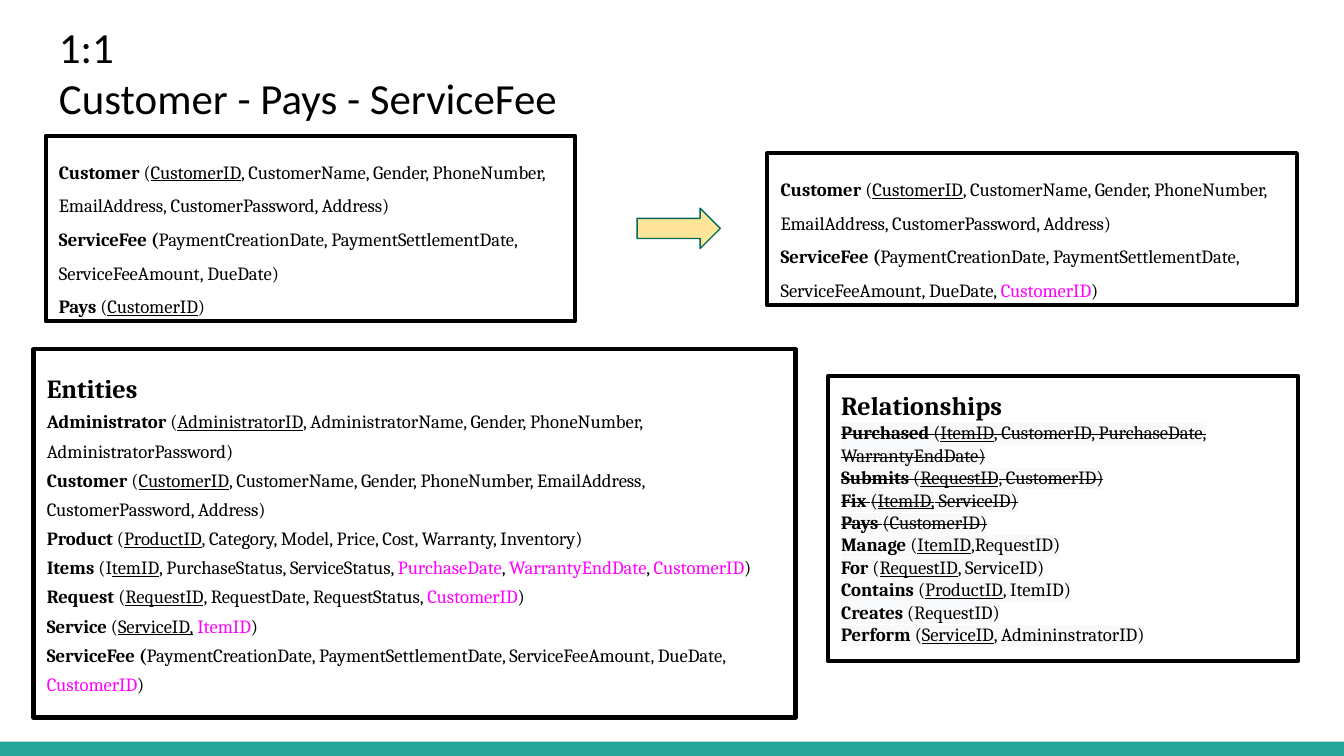
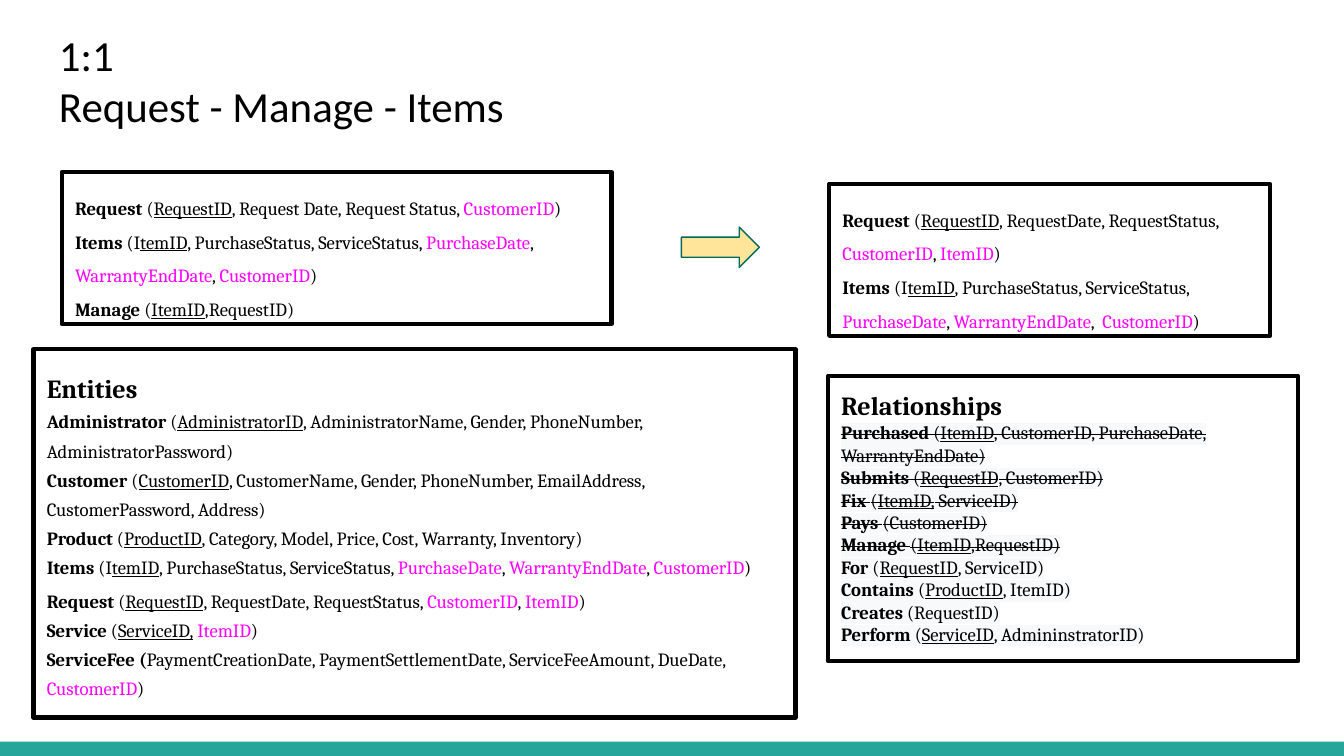
from lxml import etree
from pptx import Presentation
from pptx.dml.color import RGBColor
from pptx.enum.shapes import MSO_SHAPE
from pptx.enum.text import MSO_ANCHOR, PP_ALIGN
from pptx.oxml.ns import qn
from pptx.util import Pt

RECTANGLE, RIGHT_ARROW = MSO_SHAPE.RECTANGLE, MSO_SHAPE.RIGHT_ARROW
TOP, LEFT = MSO_ANCHOR.TOP, PP_ALIGN.LEFT

BLACK, PINK, TEAL = "000000", "FF00FF", "26A69A"
ARROW_FILL, ARROW_LINE, HIGHLIGHT = "FFE599", "00695C", "F8F9FA"
TITLE_FONT, BODY_FONT = "Calibri", "Cambria"
TITLE_SIZE, HEADING_SIZE, BODY_SIZE = 23, 14, 10
INSET = 7.2
SCHEMA_SPACING, ENTITY_SPACING = 1.5, 1.3

SLIDE_WIDTH, SLIDE_HEIGHT = 720, 405
BAND_BOX = (0, 397.4, SLIDE_WIDTH, 7.6)
ENTITIES_BOX = (18, 187.2, 408.2, 197.3)
RELATIONSHIPS_BOX = (443.5, 201.6, 252, 152.6)

# Row markup: *bold*, _underlined key_, ^pink foreign key^
CUSTOMER = ("*Customer *(_CustomerID_, CustomerName, Gender, PhoneNumber, "
            "EmailAddress, CustomerPassword, Address)")
SERVICE_FEE = ("*ServiceFee (*PaymentCreationDate, PaymentSettlementDate, "
               "ServiceFeeAmount, DueDate")
ITEMS = ("*Items *(I_temID_, PurchaseStatus, ServiceStatus, "
         "^PurchaseDate^, ^WarrantyEndDate^, ")
REQUEST = "*Request *(_RequestID_, RequestDate, RequestStatus, ^CustomerID^"
MANAGE = "*Manage *(_ItemID_,RequestID)"
CUSTOMER_KEY = "^CustomerID^)"
FEE_WITH_KEY = SERVICE_FEE + ", " + CUSTOMER_KEY
ITEMS_WITH_KEY = ITEMS + CUSTOMER_KEY
REQUEST_WITH_ITEM = REQUEST + ", ^ItemID^)"

RELATIONSHIPS = [
    "*Purchased *(_ItemID_, CustomerID, PurchaseDate, WarrantyEndDate)",
    "*Submits *(_RequestID_, CustomerID)",
    "*Fix *(_ItemID,_ ServiceID)",
    "*Pays *(CustomerID)",
    MANAGE,
    "*For *(_RequestID_, ServiceID)",
    "*Contains *(_ProductID_, ItemID)",
    "*Creates *(RequestID)",
    "*Perform *(_ServiceID_, AdmininstratorID)",
]

STEPS = [
    {
        "title": (["1:1", "Customer - Pays - ServiceFee"], (24.5, 3.6, 671, 69)),
        "before": ([CUSTOMER, SERVICE_FEE + ")", "*Pays *(_CustomerID_)"],
                   (24.5, 72.7, 283.7, 99.4)),
        "arrow": (341.3, 111.6, 44.6, 21.6),
        "after": ([CUSTOMER, FEE_WITH_KEY], (411.1, 82.1, 283.7, 81.4)),
        "request": (REQUEST + ")", ENTITY_SPACING),
        "struck": 4,
    },
    {
        "title": (["1:1", "Request - Manage - Items"], (24.5, 7.9, 671, 70.6)),
        "before": (["*Request *(_RequestID_, Request Date, Request Status, "
                    + CUSTOMER_KEY, ITEMS_WITH_KEY, MANAGE],
                   (33.1, 92.2, 294.5, 81.4)),
        "arrow": (365, 121.7, 41.8, 21.6),
        "after": ([REQUEST_WITH_ITEM, ITEMS + " " + CUSTOMER_KEY],
                  (444.2, 98.6, 236.2, 81.4)),
        "request": (REQUEST_WITH_ITEM, SCHEMA_SPACING),
        "struck": 5,
    },
]


def color(value):
    return RGBColor.from_string(value)


def set_all(target, values):
    for name, value in values.items():
        setattr(target, name, value)


def add_panel(page, kind, box, fill=None, line=None, weight=0):
    panel = page.shapes.add_shape(kind, *map(Pt, box))
    panel.shadow.inherit = False
    if fill:
        panel.fill.solid()
        panel.fill.fore_color.rgb = color(fill)
    else:
        panel.fill.background()
    if line:
        panel.line.color.rgb = color(line)
        panel.line.width = Pt(weight)
    else:
        panel.line.fill.background()
    return panel


def prepare_frame(frame):
    set_all(frame, {"word_wrap": True, "vertical_anchor": TOP}
            | {f"margin_{side}": Pt(INSET)
               for side in ("left", "top", "right", "bottom")})


def add_para(frame, spacing=1.0):
    """Return the first paragraph while it is empty, else a new one."""
    first = frame.paragraphs[0]
    para = frame.add_paragraph() if first.runs else first
    set_all(para, {"alignment": LEFT, "line_spacing": spacing})
    return para


def add_span(para, text, size=BODY_SIZE, tint=BLACK, name=BODY_FONT, **styles):
    span = para.add_run()
    span.text = text
    set_all(span.font, {"size": Pt(size), "name": name} | styles)
    span.font.color.rgb = color(tint)
    return span


def mark_span(span, struck):
    """Add the pale highlight and, if asked, a strike through the text."""
    properties = span.font._element
    if struck:
        properties.set("strike", "sngStrike")
    highlight = etree.Element(qn("a:highlight"))
    etree.SubElement(highlight, qn("a:srgbClr"), val=HIGHLIGHT)
    properties.find(qn("a:solidFill")).addnext(highlight)


def add_row(frame, markup, spacing=1.0):
    """Add one schema row and return its spans."""
    para = add_para(frame, spacing)
    spans, active, text = [], set(), ""
    for letter in markup + "*":
        if letter not in "*_^":
            text += letter
            continue
        if text:
            spans.append(add_span(para, text, tint=PINK if "^" in active else BLACK,
                                  bold="*" in active, underline="_" in active))
        active ^= {letter}
        text = ""
    return spans


def add_framed_text(page, box):
    frame = add_panel(page, RECTANGLE, box, line=BLACK, weight=2.25).text_frame
    prepare_frame(frame)
    return frame


def add_title(page, lines, box):
    frame = page.shapes.add_textbox(*map(Pt, box)).text_frame
    prepare_frame(frame)
    for line in lines:
        add_span(add_para(frame), line, TITLE_SIZE, name=TITLE_FONT)


def add_schema(page, rows, box):
    frame = add_framed_text(page, box)
    for row in rows:
        add_row(frame, row, SCHEMA_SPACING)


def add_entities(page, request, request_spacing, box):
    frame = add_framed_text(page, box)
    add_span(add_para(frame, ENTITY_SPACING), "Entities", HEADING_SIZE, bold=True)
    rows = [
        "*Administrator *(_AdministratorID_, AdministratorName, Gender, "
        "PhoneNumber, AdministratorPassword)",
        CUSTOMER,
        "*Product *(_ProductID_, Category, Model, Price, Cost, Warranty, Inventory)",
        ITEMS_WITH_KEY,
        request,
        "*Service *(_ServiceID,_ ^ItemID^)",
        FEE_WITH_KEY,
    ]
    for row in rows:
        add_row(frame, row, request_spacing if row == request else ENTITY_SPACING)


def add_relationships(page, struck_count, box):
    frame = add_framed_text(page, box)
    add_span(add_para(frame), "Relationships", HEADING_SIZE, bold=True)
    for index, row in enumerate(RELATIONSHIPS):
        for span in add_row(frame, row):
            mark_span(span, index < struck_count)


def add_step(deck, step):
    page = deck.slides.add_slide(deck.slide_layouts[6])
    add_panel(page, RECTANGLE, BAND_BOX, fill=TEAL)
    add_title(page, *step["title"])
    add_schema(page, *step["before"])
    add_panel(page, RIGHT_ARROW, step["arrow"], ARROW_FILL, ARROW_LINE, 0.75)
    add_schema(page, *step["after"])
    add_entities(page, *step["request"], ENTITIES_BOX)
    add_relationships(page, step["struck"], RELATIONSHIPS_BOX)


def main():
    deck = Presentation()
    set_all(deck, {"slide_width": Pt(SLIDE_WIDTH), "slide_height": Pt(SLIDE_HEIGHT)})
    for step in STEPS:
        add_step(deck, step)
    deck.save("out.pptx")


if __name__ == "__main__":
    main()
